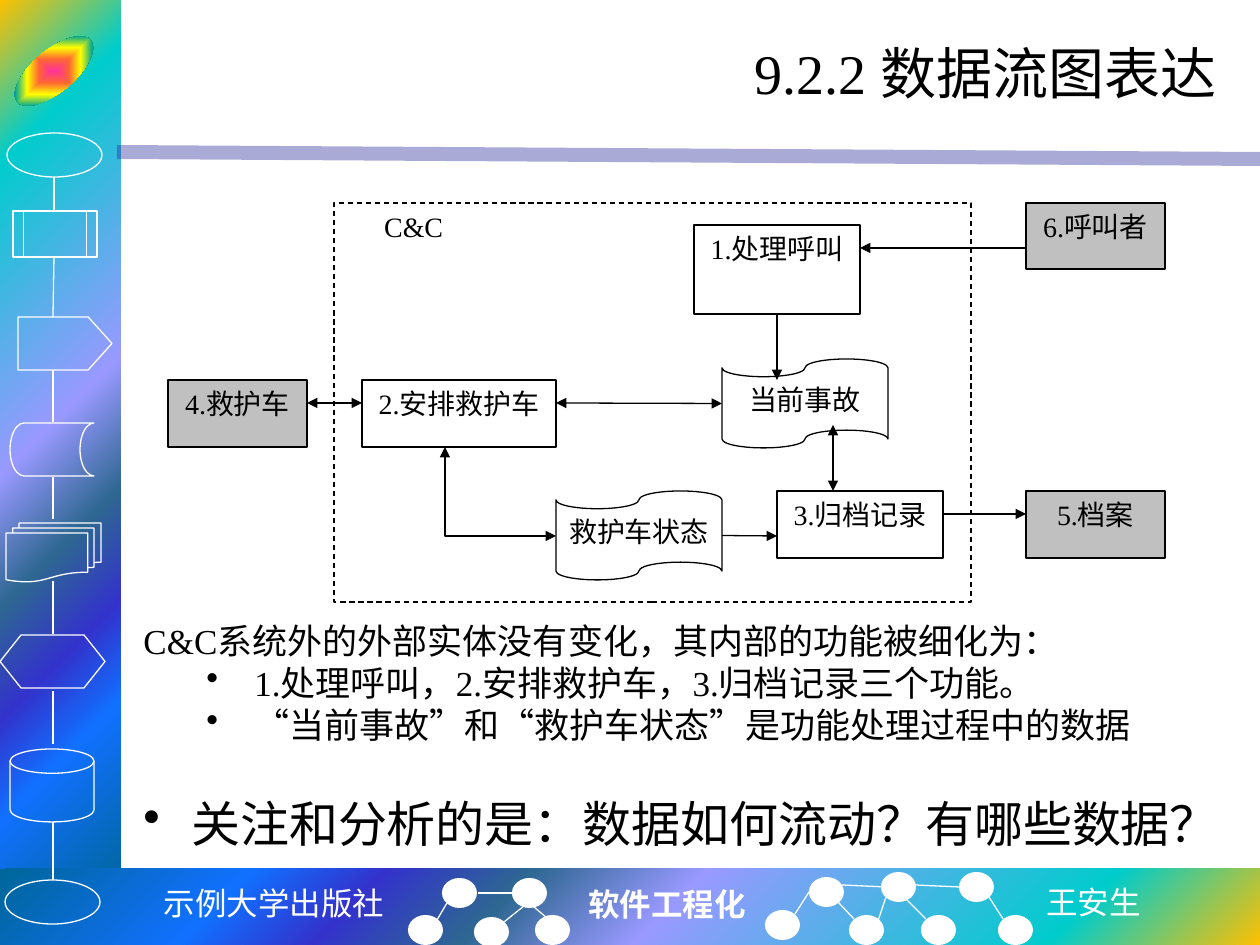
from lxml import etree
from pptx import Presentation
from pptx import util as u
from pptx.dml.color import RGBColor
from pptx.enum import dml, shapes, text
from pptx.oxml import ns

PX = 914400 / 126
BLACK = RGBColor(0x00, 0x00, 0x00)
WHITE = RGBColor(0xFF, 0xFF, 0xFF)
GREY = RGBColor(0xC0, 0xC0, 0xC0)
NAVY = RGBColor(0x26, 0x26, 0x99)
SERIF = "Times New Roman"
SANS = "Noto Sans CJK SC"
MONO = "Courier New"
OCEAN = [(0, "FFC000"), (16, "00CCCC"), (47, "9999FF"), (60, "2E6792"),
         (71, "3333CC"), (81, "1170FF"), (100, "006699")]
GLOW = [(0, "FF3399"), (25, "FF6633"), (50, "FFFF00"), (75, "01A78F"), (100, "3366FF")]
KIND = shapes.MSO_SHAPE
RIGHT, CENTER, LEFT = text.PP_ALIGN.RIGHT, text.PP_ALIGN.CENTER, text.PP_ALIGN.LEFT


def emu(*vals):
    return [u.Emu(round(v * PX)) for v in vals]


def sub(node, tag, **attrs):
    child = etree.SubElement(node, ns.qn(tag))
    for key, val in attrs.items():
        child.set(key, str(val))
    return child


def blend(shape, stops, way, focus):
    props = shape.fill._xPr
    old = props.find(ns.qn("a:noFill"))
    grad = etree.Element(ns.qn("a:gradFill"), rotWithShape="1")
    props.replace(old, grad)
    row = sub(grad, "a:gsLst")
    for pos, tint in stops:
        sub(sub(row, "a:gs", pos=pos * 1000), "a:srgbClr", val=tint)
    rect = sub(grad, "a:path", **{"path": way})
    sub(rect, "a:fillToRect", **{side: val * 1000 for side, val in zip("ltrb", focus)})


def pen(item, tint, width=0.75, dash=None):
    item.line.color.rgb = tint
    item.line.width = u.Pt(width)
    if dash:
        item.line.dash_style = dash


def tips(item, ends):
    for end in ends:
        sub(item.line._get_or_add_ln(), "a:" + end, type="triangle")


def form(tree, kind, x, y, w, h, fill=None, line=None, dash=None):
    shape = tree.add_shape(kind, *emu(x, y, w, h))
    shape.shadow.inherit = False
    if fill is None:
        shape.fill.background()
    else:
        shape.fill.solid()
        shape.fill.fore_color.rgb = fill
    if line is None:
        shape.line.fill.background()
    else:
        pen(shape, line, dash=dash)
    return shape


def link(tree, x1, y1, x2, y2, tint, width=0.75):
    line = tree.add_connector(shapes.MSO_CONNECTOR.STRAIGHT, *emu(x1, y1, x2, y2))
    pen(line, tint, width)
    sub(line._element.spPr, "a:effectLst")
    return line


def write(par, words, size, tint=BLACK, face=SERIF, bold=False, align=LEFT):
    par.alignment = align
    run = par.add_run()
    run.text = words
    font = run.font
    font.size, font.name, font.bold = u.Pt(size), face, bold
    font.color.rgb = tint
    props = run._r.get_or_add_rPr()
    props.set("lang", "zh-CN")
    far = etree.Element(ns.qn("a:ea"), typeface=SANS)
    props.find(ns.qn("a:latin")).addnext(far)


def label(tree, x, y, w, h, wrap=True, anchor=text.MSO_ANCHOR.TOP):
    frame = tree.add_textbox(*emu(x, y, w, h)).text_frame
    frame.word_wrap = wrap
    frame.vertical_anchor = anchor
    return frame


def panel(tree, x, y, w, h, focus):
    blend(form(tree, KIND.RECTANGLE, x, y, w, h), OCEAN, "circle", focus)


def side(tree, x, y):
    for kind, dx, dy, w, h in [
        (KIND.OVAL, 7, 133, 95, 44),
        (KIND.FLOWCHART_PREDEFINED_PROCESS, 13, 211, 84, 46),
        (KIND.PENTAGON, 18, 317, 94, 53),
        (KIND.FLOWCHART_STORED_DATA, 10, 423, 84, 53),
        (KIND.FLOWCHART_MULTIDOCUMENT, 6, 523, 95, 59),
        (KIND.FLOWCHART_PREPARATION, 0, 635, 105, 53),
        (KIND.FLOWCHART_MAGNETIC_DISK, 10, 749, 84, 73),
        (KIND.OVAL, 5, 880, 95, 44),
    ]:
        shape = form(tree, kind, x + dx, y + dy, w, h, line=WHITE)
        if kind == KIND.PENTAGON:
            shape.adjustments[0] = 0.45
    for top, end in [(177, 211), (257, 317), (370, 422), (477, 519),
                     (581, 634), (691, 744), (822, 880)]:
        link(tree, x + (54 if top < 300 else 53), y + top,
             x + (54 if end < 300 else 53), y + end, WHITE)
    badge = form(tree, KIND.OVAL, x + 6, y + 50, 96, 42)
    badge.rotation = -40
    blend(badge, GLOW, "shape", (50, 50, 50, 50))


def foot(tree, x, y):
    for dx, dy in [(442, 9), (512, 9), (408, 46), (474, 48), (535, 46),
                   (809, 8), (881, 3), (959, 3), (765, 41), (849, 46),
                   (921, 46), (998, 46)]:
        form(tree, KIND.OVAL, x + dx, y + dy, 35, 30, fill=WHITE)
    for x1, y1, x2, y2 in [
        (437, 51, 447, 34), (504, 53, 524, 37), (512, 24, 478, 24),
        (547, 49, 534, 38), (854, 50, 838, 33), (926, 50, 901, 25),
        (1003, 50, 989, 28), (878, 52, 886, 28), (915, 16, 959, 18),
        (795, 45, 809, 23), (842, 16, 886, 18),
    ]:
        link(tree, x + x1, y + y1, x + x2, y + y2, WHITE)
    for words, dx, dy, w, face, bold in [
        ("示例大学出版社", 150, 9, 248, MONO, False),
        ("软件工程化", 575, 10, 184, SERIF, True),
        ("王安生", 1033, 8, 121, SANS, False),
    ]:
        frame = label(tree, x + dx, y + dy, w, 50, wrap=False)
        write(frame.paragraphs[0], words, 18, WHITE, face, bold, CENTER)


def head(tree, x, y, w, h):
    frame = label(tree, x, y, w, h, anchor=text.MSO_ANCHOR.MIDDLE)
    write(frame.paragraphs[0], "9.2.2 数据流图表达", 32, align=RIGHT)
    rule = link(tree, 117, 152, 1260, 159, NAVY, 8)
    tint = rule.line._get_or_add_ln().find(".//" + ns.qn("a:srgbClr"))
    sub(tint, "a:alpha", val=39000)


def graph(tree, x, y):
    rect, tape = KIND.RECTANGLE, KIND.FLOWCHART_PUNCHED_TAPE
    dash = dml.MSO_LINE.DASH
    nodes = {}
    for words, kind, dx, dy, w, h, fill in [
        ("C&C", rect, 166, 0, 637, 399, None),
        ("3.归档记录", rect, 609, 288, 166, 67, None),
        ("1.处理呼叫", rect, 526, 22, 166, 89, None),
        ("6.呼叫者", rect, 858, 0, 139, 66, GREY),
        ("当前事故", tape, 554, 156, 166, 89, None),
        ("2.安排救护车", rect, 194, 177, 194, 67, None),
        ("4.救护车", rect, 0, 177, 139, 67, GREY),
        ("救护车状态", tape, 388, 288, 166, 89, None),
        ("5.档案", rect, 858, 288, 139, 67, GREY),
    ]:
        outer = words == "C&C"
        node = form(tree, kind, x + dx, y + dy, w, h, fill, BLACK, dash if outer else None)
        node.text_frame.vertical_anchor = text.MSO_ANCHOR.TOP
        par = node.text_frame.paragraphs[0]
        write(par, words, 16, align=LEFT if outer else CENTER)
        if outer:
            par._p.get_or_add_pPr().set("indent", str(u.Inches(0.3)))
        nodes[words] = node
    one, both = ["tailEnd"], ["headEnd", "tailEnd"]
    for x1, y1, x2, y2, ends, join in [
        (858, 45, 692, 45, one, None),
        (609, 111, 609, 177, one, ("1.处理呼叫", 2)),
        (665, 222, 665, 288, both, None),
        (775, 311, 858, 311, one, None),
        (554, 200, 388, 200, both, ("当前事故", 1)),
        (194, 200, 139, 200, both, None),
        (554, 333, 609, 333, one, ("救护车状态", 3)),
    ]:
        line = link(tree, x + x1, y + y1, x + x2, y + y2, BLACK)
        tips(line, ends)
        if join:
            line.begin_connect(nodes[join[0]], join[1])
    pen_path = tree.build_freeform(*emu(x + 277, y + 244), scale=1.0)
    pen_path.add_line_segments([emu(x + 277, y + 333), emu(x + 388, y + 333)], close=False)
    bend = pen_path.convert_to_shape()
    bend.shadow.inherit = False
    bend.fill.background()
    pen(bend, BLACK)
    tips(bend, both)


def notes(tree, x, y, w, h):
    frame = label(tree, x, y, w, h)
    for num, (words, size, pitch, gap, left) in enumerate([
        ("C&C系统外的外部实体没有变化，其内部的功能被细化为：", 20, 24, 0, 0),
        ("1.处理呼叫，2.安排救护车，3.归档记录三个功能。", 20, 24, 0, 0.88),
        ("“当前事故”和“救护车状态”是功能处理过程中的数据", 20, 24, 0, 0.88),
        ("关注和分析的是：数据如何流动？有哪些数据？", 28, 34, 27, 0.38),
    ]):
        par = frame.add_paragraph() if num else frame.paragraphs[0]
        write(par, words, size)
        par.line_spacing, par.space_before = u.Pt(pitch), u.Pt(gap)
        if left:
            props = par._p.get_or_add_pPr()
            props.set("marL", str(u.Inches(left)))
            props.set("indent", str(u.Inches(-0.38)))
            sub(props, "a:buChar", char="•")


def main():
    deck = Presentation()
    deck.slide_width, deck.slide_height = emu(1260, 945)
    tree = deck.slides.add_slide(deck.slide_layouts[6]).shapes
    panel(tree, 0, 0, 121, 893, (0, 0, 100, 100))
    panel(tree, 0, 869, 1260, 76, (100, 100, 0, 0))
    side(tree, 0, 0)
    foot(tree, 0, 869)
    head(tree, 158, 21, 1071, 102)
    notes(tree, 131, 613, 1129, 242)
    graph(tree, 168, 203)


    deck.save("out.pptx")


if __name__ == "__main__":
    main()
